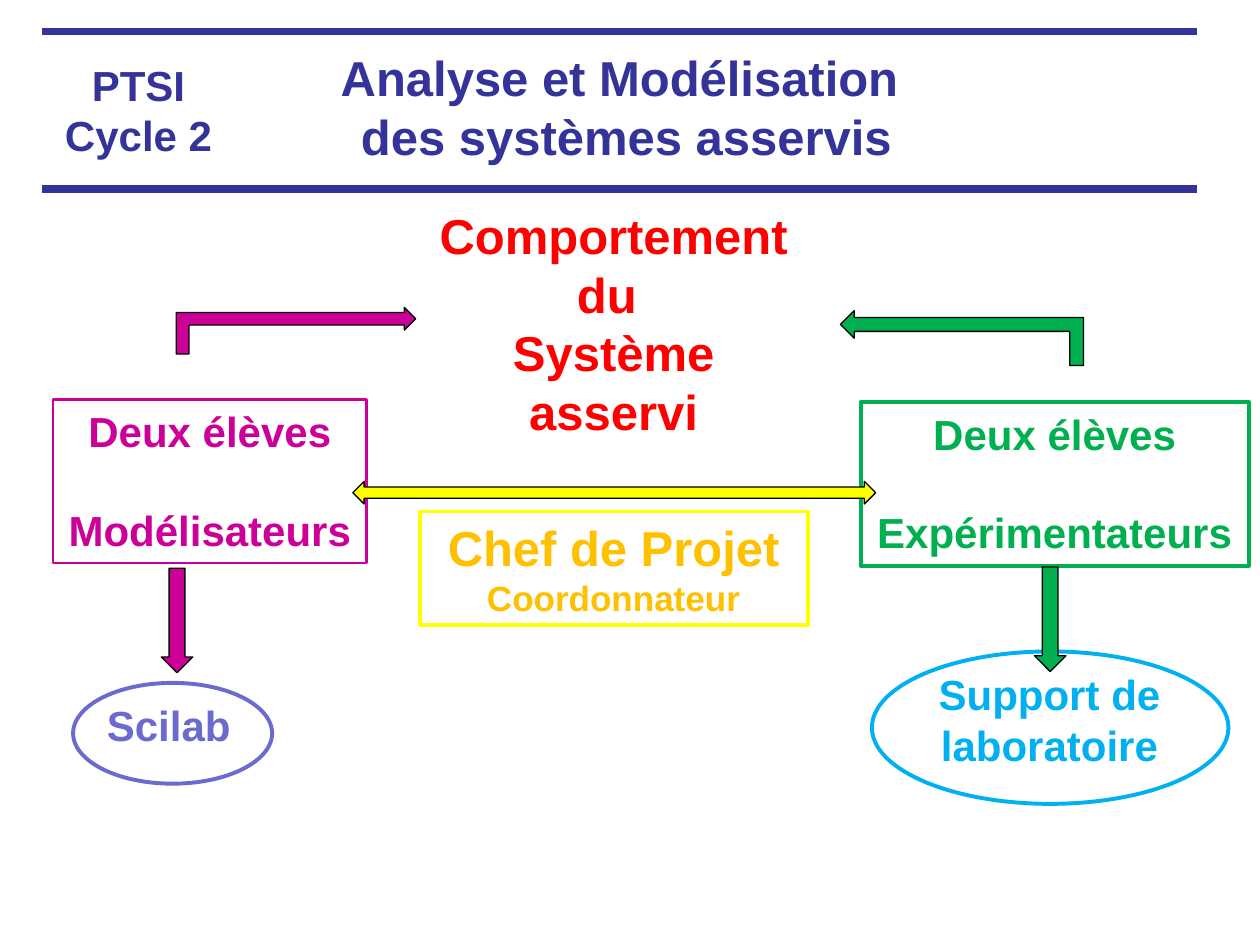
from dataclasses import dataclass
from typing import Optional

from lxml import etree
from pptx import Presentation
from pptx.dml.color import RGBColor
from pptx.enum import shapes, text
from pptx.oxml.ns import qn
from pptx.util import Inches, Pt

MSO = shapes.MSO_SHAPE


@dataclass(frozen=True)
class Theme:
    font: str = "Arial"
    navy: str = "333399"
    red: str = "FF0000"
    magenta: str = "CC0099"
    green: str = "00B050"
    violet: str = "6B6BCF"
    blue: str = "00B0F0"
    yellow: str = "FFFF00"
    amber: str = "FFC000"
    white: str = "FFFFFF"
    black: str = "000000"
    large: int = 28
    medium: int = 24
    small: int = 20
    rule: float = 4.5
    border: float = 2.25
    thin: float = 0.75


THEME = Theme()


@dataclass(frozen=True)
class Box:
    left: float
    top: float
    width: float
    height: float

    def emu(self) -> tuple:
        return tuple(Inches(v) for v in (self.left, self.top, self.width, self.height))


@dataclass(frozen=True)
class Label:
    box: Box
    lines: tuple
    sizes: tuple
    color: str
    border: Optional[str] = None
    border_width: float = THEME.border
    fill: Optional[str] = None
    gap: float = 0
    centred: bool = True
    wrap: bool = True


@dataclass(frozen=True)
class Arrow:
    box: Box
    kind: MSO
    color: str


@dataclass(frozen=True)
class BentArrow:
    outer: float
    tip: float
    top: float
    tail: float
    thickness: float
    head: float
    color: str


def paint(sp, fill: Optional[str], line: Optional[str], width: float) -> None:
    sp.shadow.inherit = False
    if fill:
        sp.fill.solid()
        sp.fill.fore_color.rgb = RGBColor.from_string(fill)
    else:
        sp.fill.background()
    if line:
        sp.line.color.rgb = RGBColor.from_string(line)
        sp.line.width = Pt(width)
    else:
        sp.line.fill.background()


def write(tf, label: Label) -> None:
    tf.word_wrap = label.wrap
    tf.auto_size = text.MSO_AUTO_SIZE.NONE
    tf.vertical_anchor = text.MSO_ANCHOR.TOP
    tf.text = "\n".join(label.lines)
    for i, (p, size) in enumerate(zip(tf.paragraphs, label.sizes)):
        p.alignment = text.PP_ALIGN.CENTER if label.centred else text.PP_ALIGN.LEFT
        p.space_before = Pt(label.gap if i else 0)
        for r in p.runs:
            r.font.name = THEME.font
            r.font.size = Pt(size)
            r.font.bold = True
            r.font.color.rgb = RGBColor.from_string(label.color)


def draw_title(slide, label: Label) -> None:
    sp = slide.shapes.title
    sp.left, sp.top, sp.width, sp.height = label.box.emu()
    write(sp.text_frame, label)


def draw_label(slide, label: Label) -> None:
    if label.border:
        sp = slide.shapes.add_shape(MSO.RECTANGLE, *label.box.emu())
        paint(sp, label.fill, label.border, label.border_width)
    else:
        sp = slide.shapes.add_textbox(*label.box.emu())
    write(sp.text_frame, label)


def draw_rule(slide, y: float) -> None:
    cx = slide.shapes.add_connector(
        shapes.MSO_CONNECTOR.STRAIGHT, Inches(0.33), Inches(y), Inches(9.5), Inches(y)
    )
    cx.line.color.rgb = RGBColor.from_string(THEME.navy)
    cx.line.width = Pt(THEME.rule)
    etree.SubElement(cx._element.spPr, qn("a:effectLst"))


def draw_ellipse(slide, box: Box, color: str) -> None:
    paint(slide.shapes.add_shape(MSO.OVAL, *box.emu()), None, color, THEME.border)


def draw_arrow(slide, arrow: Arrow) -> None:
    sp = slide.shapes.add_shape(arrow.kind, *arrow.box.emu())
    sp.adjustments[0] = sp.adjustments[1] = 0.5
    paint(sp, arrow.color, THEME.black, THEME.thin)


def draw_bent_arrow(slide, a: BentArrow) -> None:
    way = 1 if a.tip > a.outer else -1
    inner = a.outer + way * a.thickness
    neck = a.tip - way * a.head
    bottom = a.top + a.thickness
    middle = a.top + a.thickness / 2
    points = [
        (inner, a.tail), (inner, bottom), (neck, bottom), (neck, middle + a.head),
        (a.tip, middle), (neck, middle - a.head), (neck, a.top),
        (a.outer, a.top), (a.outer, a.tail),
    ]
    start, *rest = [(Inches(x), Inches(y)) for x, y in points]
    fb = slide.shapes.build_freeform(*start)
    fb.add_line_segments(rest, close=True)
    paint(fb.convert_to_shape(), a.color, THEME.black, THEME.thin)


TITLE = Label(Box(2.42, 0.33, 5.1, 1.04), ("Analyse et Modélisation \vdes systèmes asservis",),
              (THEME.large,), THEME.navy)
PAIR = (THEME.medium, THEME.medium)
LINE_GAP = 27.6

LABELS = [
    Label(Box(0.42, 0.42, 1.36, 0.9), ("PTSI", "Cycle 2"), PAIR, THEME.navy, wrap=False),
    Label(Box(3.33, 1.58, 3.08, 1.97), ("Comportement du ", "Système asservi"),
          (THEME.large, THEME.large), THEME.red),
    Label(Box(0.42, 3.17, 2.49, 1.3), ("Deux élèves", "Modélisateurs"), PAIR,
          THEME.magenta, THEME.magenta, border_width=1.5, gap=LINE_GAP),
    Label(Box(6.83, 3.19, 3.08, 1.3), ("Deux élèves", "Expérimentateurs"), PAIR,
          THEME.green, THEME.green, gap=LINE_GAP),
    Label(Box(0.75, 5.5, 1.5, 0.5), ("Scilab",), (THEME.medium,), THEME.violet, centred=False),
    Label(Box(6.83, 5.26, 3, 0.9), ("Support de laboratoire",), (THEME.medium,), THEME.blue),
    Label(Box(3.33, 4.06, 3.08, 0.9), ("Chef de Projet", "Coordonnateur"),
          (THEME.large, THEME.small), THEME.amber, THEME.yellow, fill=THEME.white),
]
ELLIPSES = [
    (Box(0.58, 5.42, 1.58, 0.8), THEME.violet),
    (Box(6.92, 5.17, 2.83, 1.21), THEME.blue),
]
BENT_ARROWS = [
    BentArrow(8.6, 6.67, 2.52, 2.9, 0.11, 0.11, THEME.green),
    BentArrow(1.4, 3.3, 2.48, 2.81, 0.1, 0.09, THEME.magenta),
]
ARROWS = [
    Arrow(Box(1.28, 4.51, 0.25, 0.83), MSO.DOWN_ARROW, THEME.magenta),
    Arrow(Box(2.8, 3.82, 4.15, 0.18), MSO.LEFT_RIGHT_ARROW, THEME.yellow),
    Arrow(Box(8.21, 4.5, 0.25, 0.83), MSO.DOWN_ARROW, THEME.green),
]


def main() -> None:
    prs = Presentation()
    prs.slide_width, prs.slide_height = Inches(10), Inches(7.5)
    slide = prs.slides.add_slide(prs.slide_layouts[5])
    draw_title(slide, TITLE)
    for y in (0.25, 1.5):
        draw_rule(slide, y)
    for label in LABELS:
        draw_label(slide, label)
    for box, color in ELLIPSES:
        draw_ellipse(slide, box, color)
    for bent in BENT_ARROWS:
        draw_bent_arrow(slide, bent)
    for arrow in ARROWS:
        draw_arrow(slide, arrow)
    prs.save("out.pptx")


if __name__ == "__main__":
    main()
